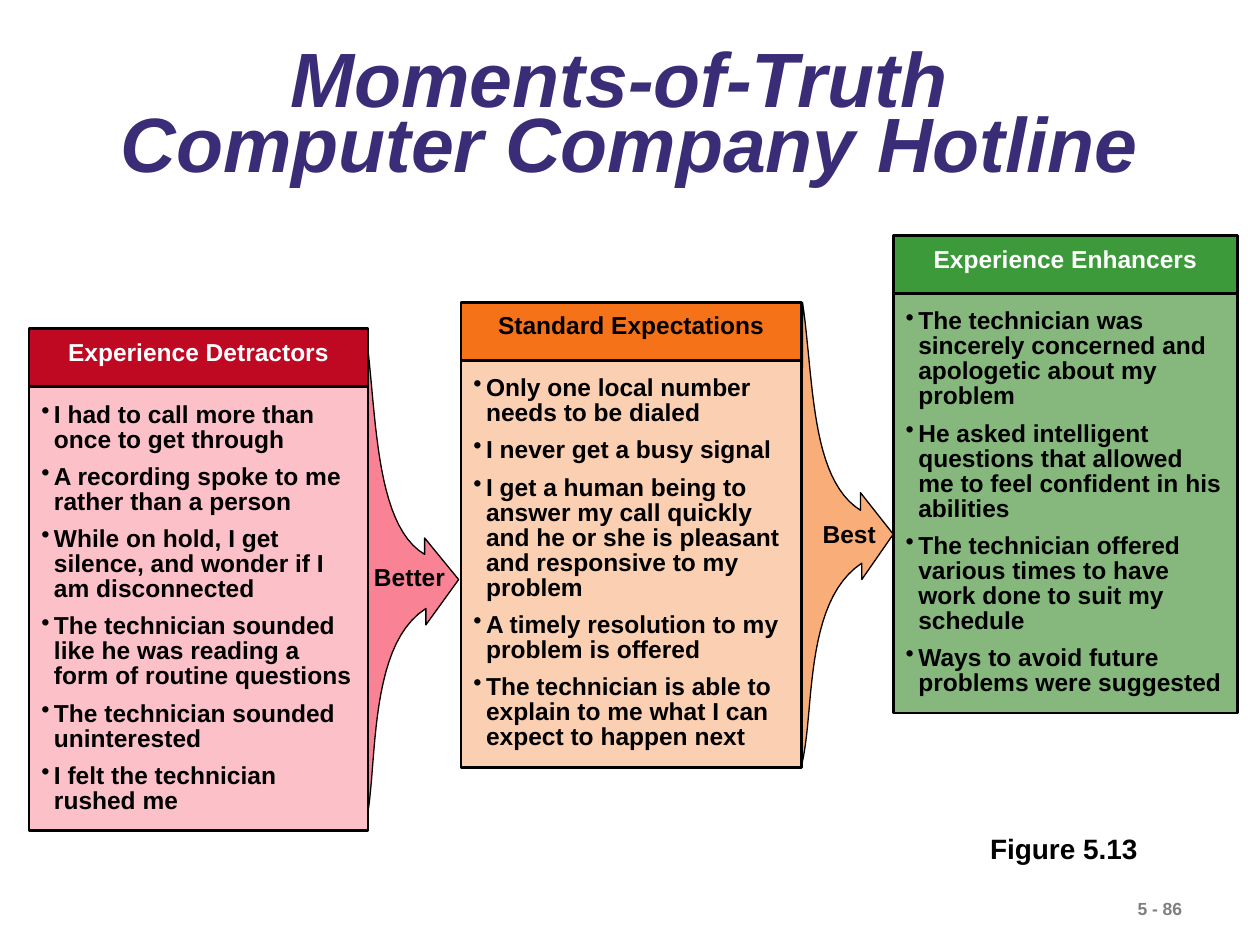
from lxml import etree
from pptx import Presentation
from pptx.dml import color
from pptx.enum import shapes, text
from pptx.oxml import ns
from pptx.util import Inches, Pt

BLACK, WHITE = "000000", "FFFFFF"
HEADER_HEIGHT = 0.46

COLUMNS = [
    {
        "box": (7.09, 1.87, 2.73, 3.33),
        "colors": ("3D9A3A", WHITE, "86B87D"),
        "title": "Experience Enhancers",
        "items": [
            "The technician was sincerely concerned and apologetic about my problem",
            "He asked intelligent questions that allowed me to feel confident in his abilities",
            "The technician offered various times to have work done to suit my schedule",
            "Ways to avoid future problems were suggested",
        ],
    },
    {
        "box": (3.66, 2.4, 2.7, 3.23),
        "colors": ("F57219", BLACK, "FBCFB1"),
        "title": "Standard Expectations",
        "items": [
            "Only one local number needs to be dialed",
            "I never get a busy signal",
            "I get a human being to answer my call quickly and he or she is pleasant "
            "and responsive to my problem",
            "A timely resolution to my problem is offered",
            "The technician is able to explain to me what I can expect to happen next",
        ],
        "arrow": {
            "fill": "F9AD78",
            "upper": [(6.37, 2.4), (6.46, 3.01), (6.43, 3.8), (6.83, 4.05)],
            "head": [(6.83, 3.91), (7.09, 4.24), (6.84, 4.6)],
            "lower": [(6.84, 4.47), (6.37, 4.78), (6.47, 5.68), (6.36, 6.08)],
        },
        "label": ("Best", (6.43, 4.07, 0.62, 0.34)),
    },
    {
        "box": (0.23, 2.61, 2.69, 3.52),
        "colors": ("BF0922", WHITE, "FCC0C9"),
        "title": "Experience Detractors",
        "items": [
            "I had to call more than once to get through",
            "A recording spoke to me rather than a person",
            "While on hold, I get silence, and wonder if I am disconnected",
            "The technician sounded like he was reading a form of routine questions",
            "The technician sounded uninterested",
            "I felt the technician rushed me",
        ],
        "arrow": {
            "fill": "F98394",
            "upper": [(2.9, 2.62), (2.99, 3.22), (2.96, 4.16), (3.37, 4.4)],
            "head": [(3.37, 4.27), (3.64, 4.6), (3.38, 4.96)],
            "lower": [(3.38, 4.83), (2.89, 5.14), (3.01, 6.19), (2.89, 6.59)],
        },
        "label": ("Better", (2.87, 4.41, 0.8, 0.34)),
    },
]


def rgb(value):
    return color.RGBColor.from_string(value)


def apply_format(target, values):
    for name, value in values.items():
        setattr(target, name, value)


def paint(shape, fill, line_width):
    shape.shadow.inherit = False
    shape.fill.solid()
    shape.fill.fore_color.rgb = rgb(fill)
    shape.line.color.rgb = rgb(BLACK)
    shape.line.width = Pt(line_width)


def add_bullet(paragraph):
    properties = paragraph._p.get_or_add_pPr()
    properties.set("marL", str(Inches(0.1)))
    properties.set("indent", str(-Inches(0.1)))
    etree.SubElement(properties, ns.qn("a:buChar")).set("char", "•")


def write(shape, lines, frame_format, paragraph_format, font_format, ink=BLACK,
          gap=0, bulleted=False):
    frame = shape.text_frame
    apply_format(frame, frame_format)
    for index, line in enumerate(lines):
        paragraph = frame.add_paragraph() if index else frame.paragraphs[0]
        paragraph.text = line
        if bulleted:
            add_bullet(paragraph)
        apply_format(paragraph, paragraph_format)
        if index:
            paragraph.space_before = Pt(gap)
        for run in paragraph.runs:
            apply_format(run.font, {"name": "Arial", "bold": True, **font_format})
            run.font.color.rgb = rgb(ink)


def add_label(slide, box, words, size, ink=BLACK):
    shape = slide.shapes.add_textbox(*map(Inches, box))
    frame_format = {"word_wrap": False, "auto_size": text.MSO_AUTO_SIZE.SHAPE_TO_FIT_TEXT}
    write(shape, [words], frame_format, {}, {"size": Pt(size)}, ink)


def add_title(slide):
    shape = slide.shapes.add_textbox(*map(Inches, (0.37, 0.33, 9.26, 1.25)))
    write(
        shape,
        ["Moments-of-Truth \vComputer Company Hotline"],
        {"word_wrap": True, "vertical_anchor": text.MSO_ANCHOR.MIDDLE},
        {"alignment": text.PP_ALIGN.CENTER, "line_spacing": 0.7},
        {"size": Pt(44), "italic": True},
        "3A2C76",
    )


def add_panel(slide, box, fill, lines, alignment, ink=BLACK, bulleted=False):
    shape = slide.shapes.add_shape(shapes.MSO_SHAPE.RECTANGLE, *map(Inches, box))
    paint(shape, fill, 1.5)
    frame_format = {
        "word_wrap": True,
        "auto_size": text.MSO_AUTO_SIZE.SHAPE_TO_FIT_TEXT,
        "vertical_anchor": text.MSO_ANCHOR.TOP,
        "margin_top": Inches(0.13),
        "margin_bottom": Inches(0.13),
    }
    paragraph_format = {"alignment": alignment, "line_spacing": 0.85}
    write(shape, lines, frame_format, paragraph_format, {"size": Pt(14)}, ink, 7, bulleted)


def curve(points, steps=24):
    for step in range(steps + 1):
        t = step / steps
        weights = ((1 - t) ** 3, 3 * t * (1 - t) ** 2, 3 * t ** 2 * (1 - t), t ** 3)
        yield tuple(sum(w * p[axis] for w, p in zip(weights, points)) for axis in (0, 1))


def add_arrow(slide, arrow):
    outline = [*curve(arrow["upper"]), *arrow["head"], *curve(arrow["lower"])]
    points = [(Inches(x), Inches(y)) for x, y in outline]
    builder = slide.shapes.build_freeform(*points[0])
    builder.add_line_segments(points[1:], close=True)
    paint(builder.convert_to_shape(), arrow["fill"], 0.75)


def add_column(slide, column):
    left, top, width, body_height = column["box"]
    header_fill, header_ink, body_fill = column["colors"]
    body = (left, top + HEADER_HEIGHT, width, body_height)
    header = (left, top, width, HEADER_HEIGHT)
    add_panel(slide, body, body_fill, column["items"], text.PP_ALIGN.LEFT, bulleted=True)
    add_panel(slide, header, header_fill, [column["title"]], text.PP_ALIGN.CENTER, header_ink)


def main():
    presentation = Presentation()
    presentation.slide_width, presentation.slide_height = Inches(10), Inches(7.5)
    slide = presentation.slides.add_slide(presentation.slide_layouts[6])
    add_label(slide, (8.93, 7.08, 1.07, 0.27), "5 - 86", 10, "7F7F7F")
    add_title(slide)
    add_label(slide, (7.76, 6.55, 1.37, 0.37), "Figure 5.13", 16)
    for column in COLUMNS:
        if "arrow" in column:
            add_arrow(slide, column["arrow"])
        add_column(slide, column)
        if "label" in column:
            words, box = column["label"]
            add_label(slide, box, words, 14)
    presentation.save("out.pptx")


if __name__ == "__main__":
    main()
